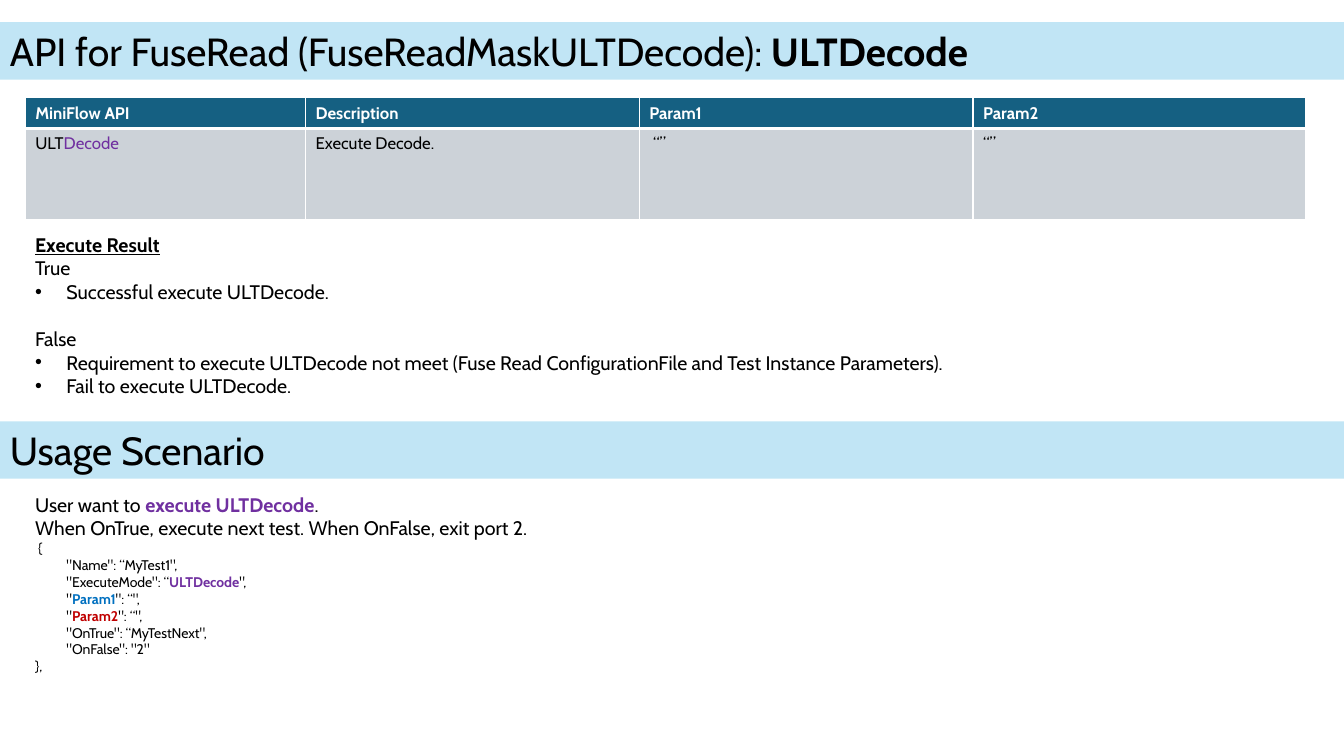
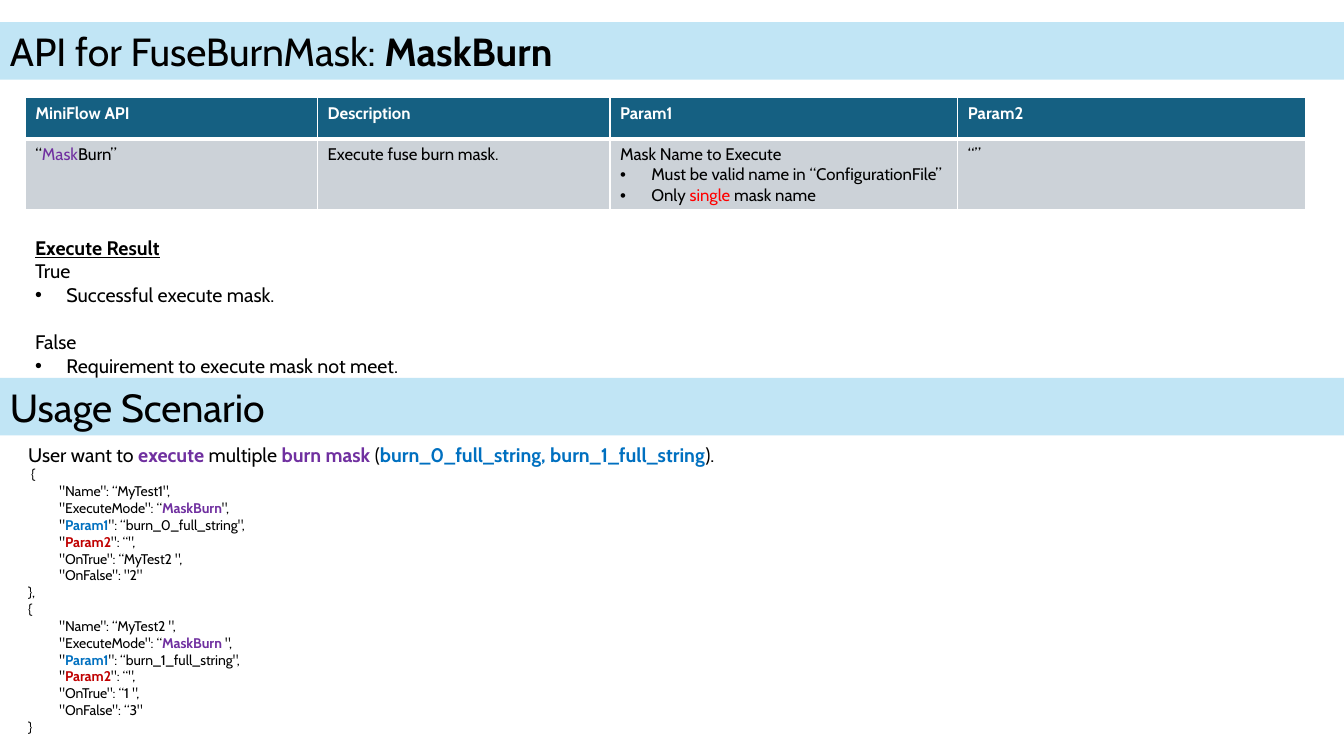
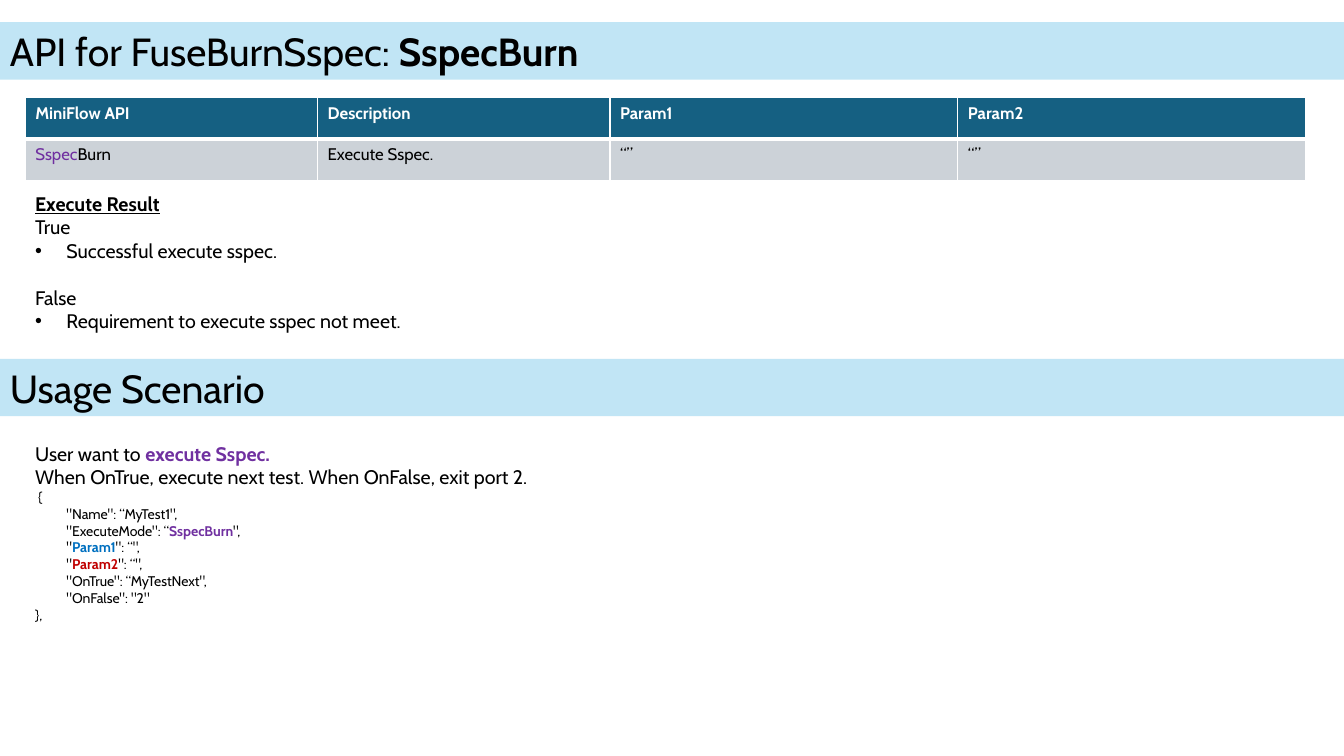
import pptx
import pptx.dml.color
import pptx.enum.shapes
import pptx.enum.text
import pptx.oxml
import pptx.oxml.ns
import pptx.util
from pptx.util import Inches

FONT = "Cabin"
COLORS = {
    "black": "000000", "white": "FFFFFF", "band": "C1E5F5", "header": "156082",
    "body": "CCD2D8", "purple": "7030A0", "blue": "0070C0", "crimson": "C00000", "red": "FF0000",
}
STYLES = {
    "plain": ("black", False, False),
    "strong": ("black", True, False),
    "heading": ("black", True, True),
    "column": ("white", True, False),
    "part": ("purple", False, False),
    "limit": ("red", False, False),
    "mode": ("purple", True, False),
    "first": ("blue", True, False),
    "second": ("crimson", True, False),
}
TITLE_SIZE, BODY_SIZE, TABLE_SIZE, CODE_SIZE = 28, 14, 12, 10
BAND_HEIGHT = 0.57
TABLE_LEFT, TABLE_TOP = 0.25, 0.97
HANGING_INDENT = 0.31
GAP_BEFORE_FALSE = 16.8
CODE_INDENT = " " * 10
HEADERS = ["MiniFlow API", "Description", "Param1", "Param2"]
NEXT_OR_EXIT = "When OnTrue, execute next test. When OnFalse, exit port 2."


def line(*runs, size=BODY_SIZE, bullet=False, before=0):
    return {"runs": runs, "size": size, "bullet": bullet, "before": before}


def code(*runs):
    return line(*runs, size=CODE_SIZE)


def test_block(name, mode, param1, on_true, on_false, opening=" {", closing="},"):
    fields = [
        (f'"Name": “{name}",',),
        ('"ExecuteMode": “', (mode, "mode"), '",'),
        ('"', ("Param1", "first"), f'": “{param1}",'),
        ('"', ("Param2", "second"), '": “",'),
        (f'"OnTrue": “{on_true}",',),
        (f'"OnFalse": {on_false}',),
    ]
    indented = [code(CODE_INDENT + first, *rest) for first, *rest in fields]
    return [code(opening), *indented, code(closing)]


def results(successes, failures):
    return [
        line(("Execute Result", "heading")),
        line("True"),
        *[line(text, bullet=True) for text in successes],
        line("False", before=GAP_BEFORE_FALSE),
        *[line(text, bullet=True) for text in failures],
    ]


def cell(*runs, bullet=False):
    return line(*runs, size=TABLE_SIZE, bullet=bullet)


SLIDES = [
    {
        "title": ("API for FuseRead (FuseReadMaskULTDecode): ", "ULTDecode"),
        "columns": [2.78, 3.31, 3.31, 3.3],
        "rows": [0.29, 0.9],
        "cells": [[cell("ULT", ("Decode", "part"))], [cell("Execute Decode.")],
                  [cell(" “”")], [cell("“”")]],
        "results": results(
            ["Successful execute ULTDecode."],
            ["Requirement to execute ULTDecode not meet (Fuse Read ConfigurationFile and Test Instance Parameters).",
             "Fail to execute ULTDecode."]),
        "results_box": (0.25, 2.26, 12.7, 1.75),
        "usage_top": 4.18,
        "usage": [
            line("User want to ", ("execute ULTDecode", "mode"), "."),
            line(NEXT_OR_EXIT),
            *test_block("MyTest1", "ULTDecode", "", "MyTestNext", '"2"'),
        ],
        "usage_box": (0.25, 4.84, 12.7, 1.92),
    },
    {
        "title": ("API for FuseBurnMask: ", "MaskBurn"),
        "columns": [2.9, 2.9, 3.45, 3.45],
        "rows": [0.41, 0.69],
        "cells": [[cell("“", ("Mask", "part"), "Burn”")], [cell("Execute fuse burn mask.")],
                  [cell("Mask Name to Execute"),
                   cell("Must be valid name in “ConfigurationFile”", bullet=True),
                   cell("Only ", ("single", "limit"), " mask name", bullet=True)],
                  [cell("“”")]],
        "results": results(["Successful execute mask."], ["Requirement to execute mask not meet."]),
        "results_box": (0.25, 2.29, 12.7, 1.51),
        "usage_top": 3.75,
        "usage": [
            line("User want to ", ("execute ", "mode"), "multiple", (" burn mask ", "mode"), "(",
                 ("burn_0_full_string, burn_1_full_string", "first"), ")."),
            *test_block("MyTest1", "MaskBurn", "burn_0_full_string", "MyTest2 ", '"2"'),
            *test_block("MyTest2 ", "MaskBurn ", "burn_1_full_string", "1 ", '“3"', "{", "}"),
        ],
        "usage_box": (0.18, 4.34, 12.83, 3.1),
    },
    {
        "title": ("API for FuseBurnSspec: ", "SspecBurn"),
        "columns": [2.9, 2.9, 3.45, 3.45],
        "rows": [0.41, 0.41],
        "cells": [[cell(("Sspec", "part"), "Burn")], [cell("Execute Sspec.")],
                  [cell("“”")], [cell("“”")]],
        "results": results(["Successful execute sspec."], ["Requirement to execute sspec not meet."]),
        "results_box": (0.25, 1.85, 12.7, 1.51),
        "usage_top": 3.56,
        "usage": [
            line("User want to ", ("execute Sspec.", "mode")),
            line(NEXT_OR_EXIT),
            *test_block("MyTest1", "SspecBurn", "", "MyTestNext", '"2"'),
        ],
        "usage_box": (0.25, 4.33, 12.7, 1.92),
    },
]


def rgb(name):
    return pptx.dml.color.RGBColor.from_string(COLORS[name])


def add_bullet(paragraph):
    properties = paragraph._p.get_or_add_pPr()
    properties.set("marL", str(Inches(HANGING_INDENT)))
    properties.set("indent", str(-Inches(HANGING_INDENT)))
    namespace = pptx.oxml.ns.nsdecls("a")
    properties.append(pptx.oxml.parse_xml(f'<a:buFont {namespace} typeface="Arial"/>'))
    properties.append(pptx.oxml.parse_xml(f'<a:buChar {namespace} char="•"/>'))


def write(text_frame, lines):
    text_frame.word_wrap = True
    for index, content in enumerate(lines):
        paragraph = text_frame.add_paragraph() if index else text_frame.paragraphs[0]
        paragraph.alignment = pptx.enum.text.PP_ALIGN.LEFT
        if content["before"]:
            paragraph.space_before = pptx.util.Pt(content["before"])
        if content["bullet"]:
            add_bullet(paragraph)
        for item in content["runs"]:
            text, style = (item, "plain") if isinstance(item, str) else item
            color, bold, underline = STYLES[style]
            run = paragraph.add_run()
            run.text = text
            run.font.name = FONT
            run.font.size = pptx.util.Pt(content["size"])
            run.font.color.rgb = rgb(color)
            run.font.bold = bold
            run.font.underline = underline


def add_band(slide, top, *runs):
    band = slide.shapes.add_shape(
        pptx.enum.shapes.MSO_SHAPE.RECTANGLE, 0, Inches(top), Inches(13.33), Inches(BAND_HEIGHT))
    band.shadow.inherit = False
    band.fill.solid()
    band.fill.fore_color.rgb = rgb("band")
    band.line.fill.background()
    write(band.text_frame, [line(*runs, size=TITLE_SIZE)])


def add_text(slide, box, lines):
    write(slide.shapes.add_textbox(*map(Inches, box)).text_frame, lines)


def set_borders(table_cell, widths):
    properties = table_cell._tc.get_or_add_tcPr()
    for index, (side, width) in enumerate(widths.items()):
        properties.insert(index, pptx.oxml.parse_xml(
            f'<a:ln{side} {pptx.oxml.ns.nsdecls("a")} w="{pptx.util.Pt(width)}"><a:solidFill>'
            f'<a:srgbClr val="{COLORS["white"]}"/></a:solidFill></a:ln{side}>'))


def add_api_table(slide, columns, rows, cells):
    table = slide.shapes.add_table(
        len(rows), len(columns), Inches(TABLE_LEFT), Inches(TABLE_TOP),
        Inches(sum(columns)), Inches(sum(rows))).table
    for column, width in zip(table.columns, columns):
        column.width = Inches(width)
    for row, height in zip(table.rows, rows):
        row.height = Inches(height)
    header = [[cell((text, "column"))] for text in HEADERS]
    looks = [("header", {"L": 1, "R": 1, "T": 1, "B": 3}),
             ("body", {"L": 1, "R": 1, "T": 3, "B": 1})]
    for row, row_cells, (fill, borders) in zip(table.rows, [header, cells], looks):
        for table_cell, lines in zip(row.cells, row_cells):
            table_cell.fill.solid()
            table_cell.fill.fore_color.rgb = rgb(fill)
            set_borders(table_cell, borders)
            write(table_cell.text_frame, lines)


def main():
    presentation = pptx.Presentation()
    presentation.slide_width = Inches(13.33)
    presentation.slide_height = Inches(7.5)
    for content in SLIDES:
        slide = presentation.slides.add_slide(presentation.slide_layouts[6])
        label, api_name = content["title"]
        add_band(slide, 0.22, label, (api_name, "strong"))
        add_api_table(slide, content["columns"], content["rows"], content["cells"])
        add_text(slide, content["results_box"], content["results"])
        add_text(slide, content["usage_box"], content["usage"])
        add_band(slide, content["usage_top"], "Usage Scenario")
    presentation.save("out.pptx")


if __name__ == "__main__":
    main()
